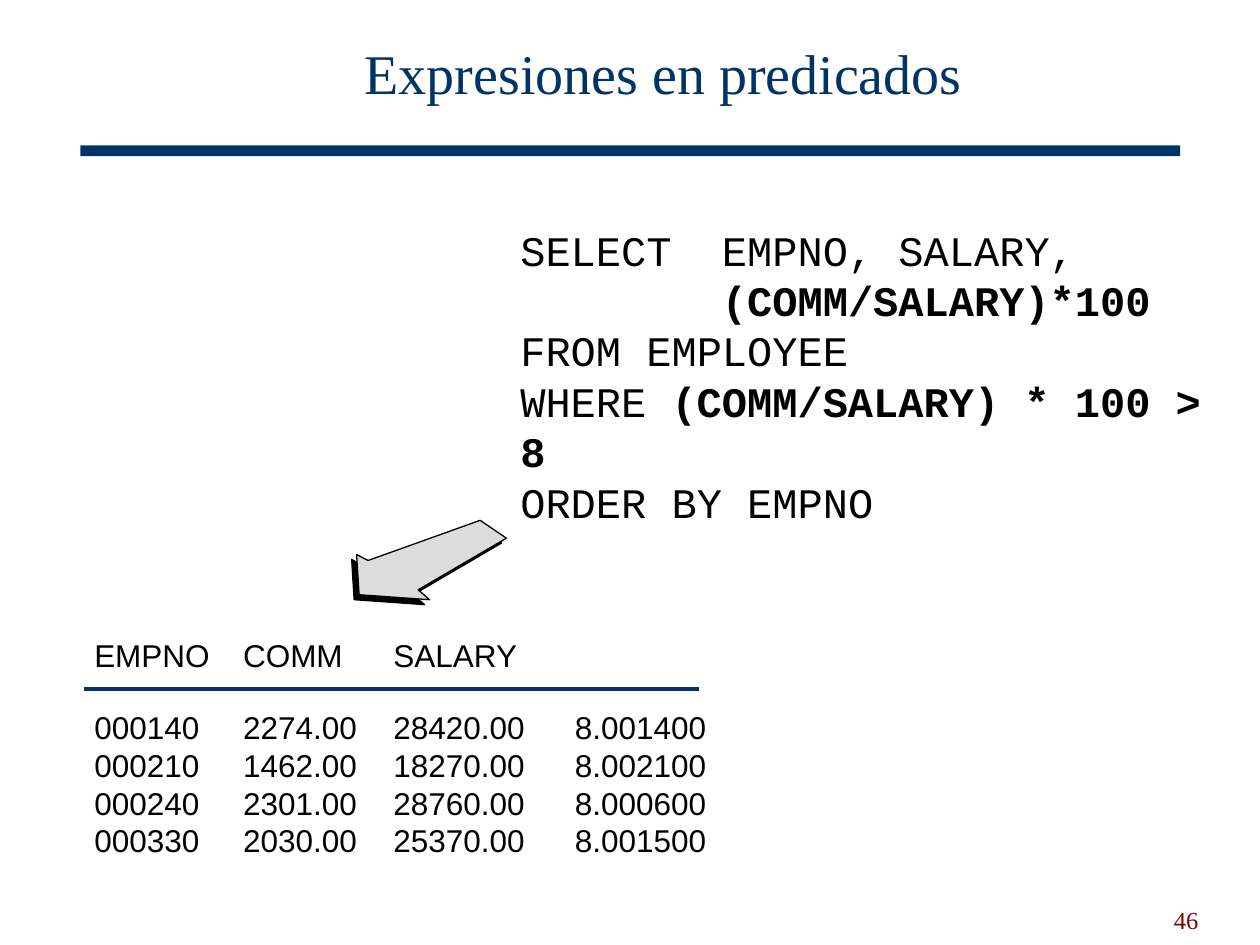
from dataclasses import dataclass

from lxml.etree import SubElement
from pptx import Presentation
from pptx.dml.color import RGBColor
from pptx.enum.shapes import MSO_CONNECTOR, MSO_SHAPE
from pptx.enum.text import MSO_ANCHOR as Anchor, PP_ALIGN as Align
from pptx.oxml.ns import qn
from pptx.util import Cm, Pt


@dataclass(frozen=True)
class Theme:
    navy: RGBColor = RGBColor(0x00, 0x33, 0x66)
    maroon: RGBColor = RGBColor(0x80, 0x00, 0x00)
    black: RGBColor = RGBColor(0x00, 0x00, 0x00)
    gray: RGBColor = RGBColor(0xDC, 0xDC, 0xDC)
    serif: str = "Times New Roman"
    sans: str = "Arial"
    mono: str = "Courier New"
    title_size: Pt = Pt(32)
    code_size: Pt = Pt(24)
    table_size: Pt = Pt(18)
    number_size: Pt = Pt(14)


THEME = Theme()

# Each paragraph is a list of (text, bold) runs; \v is a line break
QUERY = [
    [("SELECT  EMPNO, SALARY,\v        ", False), ("(COMM/SALARY)*100", True)],
    [("FROM EMPLOYEE", False)],
    [("WHERE ", False), ("(COMM/SALARY) * 100 > 8", True)],
    [("ORDER BY EMPNO", False)],
]
RESULT = [
    ["EMPNO", "COMM", "SALARY", ""],
    ["000140", "2274.00", "28420.00", "8.001400"],
    ["000210", "1462.00", "18270.00", "8.002100"],
    ["000240", "2301.00", "28760.00", "8.000600"],
    ["000330", "2030.00", "25370.00", "8.001500"],
]
COLUMN_WIDTHS = [3, 3.03, 3.66, 2.8]
ARROW = [(10.21, 10.85), (9.68, 10.49), (7.42, 11.3), (7.19, 11.18),
         (7.24, 11.99), (8.66, 12.09), (8.43, 11.89)]


def style(paragraph, face, size, color):
    font = paragraph.font
    font.name, font.size, font.color.rgb = face, size, color


def add_box(slide, left, top, width, height, anchor):
    box = slide.shapes.add_textbox(Cm(left), Cm(top), Cm(width), Cm(height))
    box.text_frame.vertical_anchor = anchor
    return box.text_frame


def add_label(slide, text, place, anchor, align, size, color):
    frame = add_box(slide, *place, anchor)
    frame.word_wrap = True
    label = frame.paragraphs[0]
    label.text, label.alignment = text, align
    style(label, THEME.serif, size, color)
    return label


def add_code(slide, lines, place):
    frame = add_box(slide, *place, Anchor.TOP)
    frame.word_wrap = False
    frame.margin_left = frame.margin_right = 0
    frame.margin_top = frame.margin_bottom = 0
    for index, runs in enumerate(lines):
        line = frame.add_paragraph() if index else frame.paragraphs[0]
        for text, bold in runs:
            for part_index, part in enumerate(text.split("\v")):
                if part_index:
                    line.add_line_break()
                run = line.add_run()
                run.text, run.font.bold = part, bold
        style(line, THEME.mono, THEME.code_size, THEME.black)


def add_result(slide, rows, left, top, header_height, row_height):
    table = slide.shapes.add_table(
        len(rows), len(COLUMN_WIDTHS), Cm(left), Cm(top),
        Cm(sum(COLUMN_WIDTHS)),
        Cm(header_height + row_height * (len(rows) - 1))).table
    table.first_row = table.horz_banding = False
    for column, width in zip(table.columns, COLUMN_WIDTHS):
        column.width = Cm(width)
    for index, values in enumerate(rows):
        table.rows[index].height = Cm(row_height if index else header_height)
        for cell, value in zip(table.rows[index].cells, values):
            cell.fill.background()
            cell.margin_left = cell.margin_right = 0
            cell.margin_top = cell.margin_bottom = 0
            cell.text = value
            style(cell.text_frame.paragraphs[0],
                  THEME.sans, THEME.table_size, THEME.black)


def add_arrow(slide, points, dx, dy, color):
    corners = [(Cm(x + dx), Cm(y + dy)) for x, y in points]
    builder = slide.shapes.build_freeform(*corners[0])
    builder.add_line_segments(corners[1:], close=True)
    arrow = builder.convert_to_shape()
    arrow.shadow.inherit = False
    arrow.fill.solid()
    arrow.fill.fore_color.rgb = color
    arrow.line.color.rgb = THEME.black
    arrow.line.width = Pt(0.75)


def add_bar(slide, left, top, width, height):
    bar = slide.shapes.add_shape(
        MSO_SHAPE.RECTANGLE, Cm(left), Cm(top), Cm(width), Cm(height))
    bar.shadow.inherit = False
    bar.fill.solid()
    bar.fill.fore_color.rgb = THEME.navy
    bar.line.fill.background()


def add_rule(slide, left, right, y):
    rule = slide.shapes.add_connector(
        MSO_CONNECTOR.STRAIGHT, Cm(left), Cm(y), Cm(right), Cm(y))
    rule.line.color.rgb = THEME.navy
    rule.line.width = Pt(2.25)
    SubElement(rule._element.spPr, qn("a:effectLst"))


def main():
    deck = Presentation()
    deck.slide_width, deck.slide_height = Cm(25.4), Cm(19.05)
    slide = deck.slides.add_slide(deck.slide_layouts[6])

    # Heading and slide number
    add_bar(slide, 1.62, 2.93, 22.17, 0.22)
    add_label(slide, "46", (18.31, 17.7, 6.1, 1.27), Anchor.BOTTOM,
              Align.RIGHT, THEME.number_size, THEME.maroon)
    title = add_label(slide, "Expresiones en predicados",
                      (3.12, 0.36, 20.52, 2.39), Anchor.MIDDLE,
                      Align.CENTER, THEME.title_size, THEME.navy)
    title.line_spacing = 0.85

    # Query
    add_code(slide, QUERY, (10.49, 4.52, 14.73, 5.08))

    # Result set
    add_result(slide, RESULT, 1.9, 12.88, 1.45, 0.74)
    add_rule(slide, 1.7, 14.1, 13.89)

    # Arrow from query to result, over its hard shadow
    add_arrow(slide, ARROW, -0.1, 0.1, THEME.black)
    add_arrow(slide, ARROW, 0, 0, THEME.gray)

    deck.save("out.pptx")


if __name__ == "__main__":
    main()
